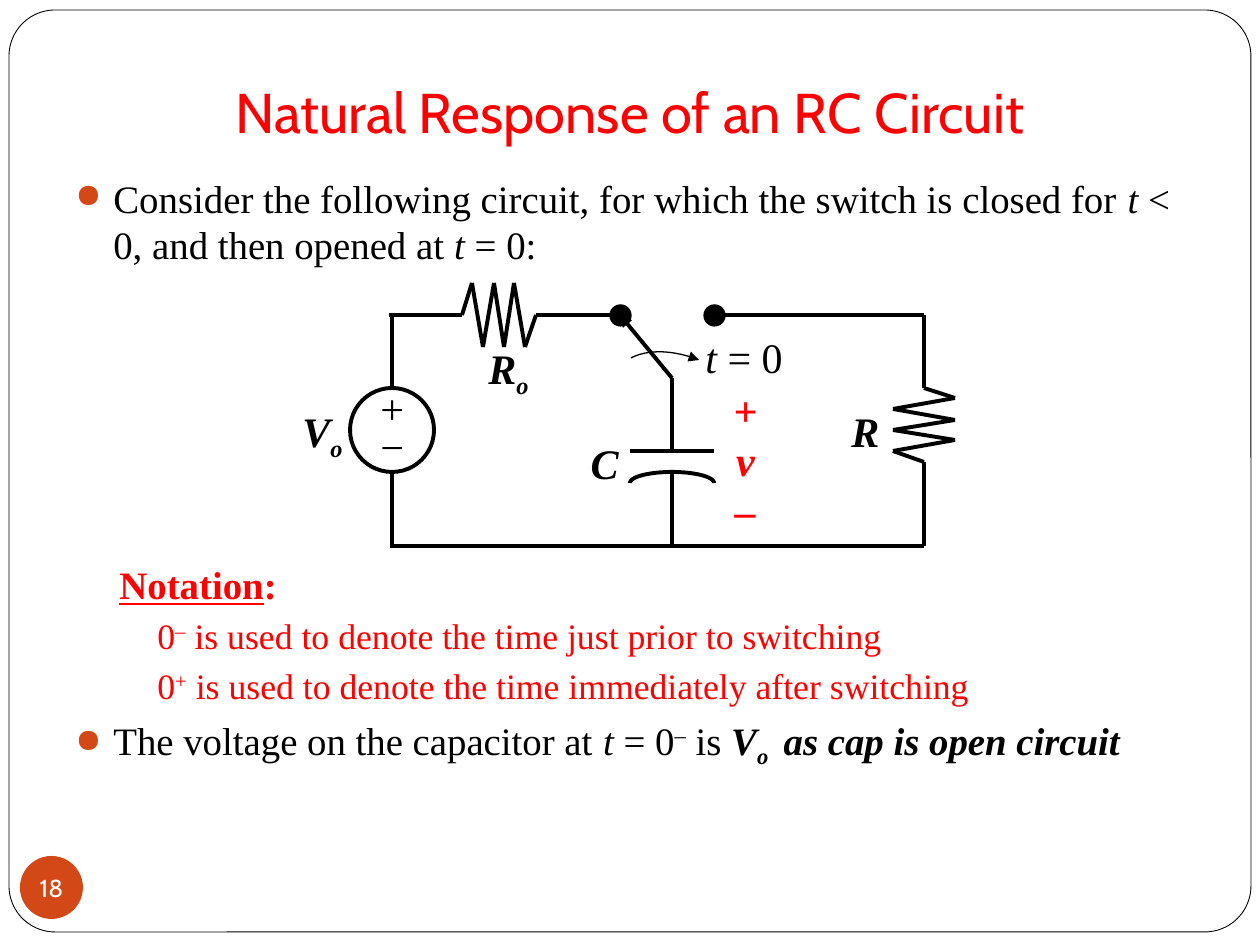
from dataclasses import dataclass
from itertools import pairwise

from lxml import etree
from pptx import Presentation
from pptx.dml.color import RGBColor
from pptx.enum import shapes, text
from pptx.oxml.ns import qn
from pptx.util import Pt

PX = 914400 / 126  # EMU per px
SERIF, SANS = "Times New Roman", "Cabin"
BLACK, RED, WHITE, ORANGE = "000000", "FF0000", "FFFFFF", "D34817"
TOP, BOTTOM = 315, 546  # rails of the circuit
SOURCE_X, CAP_X, LOAD_X = 392, 672, 924
CENTER = text.PP_ALIGN.CENTER
Point = tuple[float, float]


@dataclass
class Span:
    words: str
    size: float = 24
    color: str = BLACK
    bold: bool = False
    italic: bool = False
    underline: bool = False
    shift: int = 0
    font: str = SERIF


@dataclass
class Para:
    spans: list[Span]
    align: text.PP_ALIGN | None = None
    before: float = 0
    leading: float | None = None
    margin: int = 0
    indent: int = 0
    bullet: bool = False


@dataclass
class Label:
    area: tuple[int, int, int, int]
    paras: list[Para]


def emu(px: float) -> int:
    return round(px * PX)


def rgb(color: str) -> RGBColor:
    return RGBColor.from_string(color)


def add_child(parent, tag: str, **attributes: str):
    child = etree.SubElement(parent, qn(tag))
    for name, value in attributes.items():
        child.set(name, value)
    return child


def write_para(para, content: Para) -> None:
    para.alignment = content.align
    para.space_before = Pt(content.before)
    para.line_spacing = content.leading
    props = para._p.get_or_add_pPr()
    props.set("marL", str(emu(content.margin)))
    props.set("indent", str(emu(content.indent)))
    if content.bullet:
        add_child(add_child(props, "a:buClr"), "a:srgbClr", val=ORANGE)
        add_child(props, "a:buSzPct", val="85000")
        add_child(props, "a:buChar", char="●")
    for item in content.spans:
        span = para.add_run()
        span.text = item.words
        font = span.font
        font.name, font.size = item.font, Pt(item.size)
        font.bold, font.italic, font.underline = item.bold, item.italic, item.underline
        font.color.rgb = rgb(item.color)
        if item.shift:
            span._r.get_or_add_rPr().set("baseline", str(item.shift * 1000))


def write(frame, paras: list[Para]) -> None:
    for index, content in enumerate(paras):
        write_para(frame.add_paragraph() if index else frame.paragraphs[0], content)


def add_text(page, label: Label, wrap: bool = False):
    box = page.shapes.add_textbox(*map(emu, label.area))
    frame = box.text_frame
    frame.word_wrap = wrap
    frame.auto_size = text.MSO_AUTO_SIZE.NONE if wrap else text.MSO_AUTO_SIZE.SHAPE_TO_FIT_TEXT
    write(frame, label.paras)
    return frame


def add_shape(page, kind, area, fill: str | None, line: str | None, width: float = 0.75):
    shape = page.shapes.add_shape(kind, *map(emu, area))
    shape.shadow.inherit = False
    if fill:
        shape.fill.solid()
        shape.fill.fore_color.rgb = rgb(fill)
    else:
        shape.fill.background()
    if line:
        shape.line.color.rgb = rgb(line)
        shape.line.width = Pt(width)
    else:
        shape.line.fill.background()
    return shape


def add_wire(page, *points: Point, head: bool = False) -> None:
    for start, end in pairwise(points):
        wire = page.shapes.add_connector(
            shapes.MSO_CONNECTOR.STRAIGHT, *map(emu, (*start, *end)))
        wire.line.color.rgb = rgb(BLACK)
        wire.line.width = Pt(2.25)
        add_child(wire._element.spPr, "a:effectLst")
        if head:
            add_child(wire.line._get_or_add_ln(), "a:headEnd", type="triangle")


def add_curve(page, corners: list[Point], width: float, tail: bool = False) -> None:
    """Draw a cubic Bezier curve as a fine polyline."""
    points = []
    for step in range(25):
        t = step / 24
        weights = ((1 - t) ** 3, 3 * t * (1 - t) ** 2, 3 * t * t * (1 - t), t ** 3)
        points.append(tuple(
            emu(sum(w * c[axis] for w, c in zip(weights, corners))) for axis in (0, 1)))
    builder = page.shapes.build_freeform(*points[0])
    builder.add_line_segments(points[1:], close=False)
    curve = builder.convert_to_shape()
    curve.shadow.inherit = False
    curve.fill.background()
    curve.line.color.rgb = rgb(BLACK)
    curve.line.width = Pt(width)
    if tail:
        add_child(curve.line._get_or_add_ln(), "a:tailEnd", type="triangle")


def zigzag(start: int, axis: int, first: int) -> list[Point]:
    """Points of a resistor that runs along x; first is the side of its first tooth."""
    sides = [0] + [first, -first] * 3 + [0]
    return [(round(start + 10.5 * i), axis + side) for i, side in enumerate(sides)]


def symbol(letter: str, subscript: str = "") -> list[Para]:
    spans = [Span(letter, bold=True, italic=True)]
    if subscript:
        spans.append(Span(subscript, bold=True, italic=True, shift=-25))
    return [Para(spans, CENTER)]


def body_spans(*parts: tuple[str, dict]) -> list[Span]:
    return [Span(words, 22.2, **style) for words, style in parts]


def note(sign: str, words: str) -> Para:
    return Para([Span("0", 20.4, RED), Span(sign, 20.4, RED, shift=30),
                 Span(words, 20.4, RED)], before=3.7, margin=113, indent=-31)


def draw_text(page) -> None:
    plain, slanted, strong = {}, {"italic": True}, {"bold": True, "italic": True}
    bullet = {"before": 5.8, "margin": 38, "indent": -38, "bullet": True}
    add_text(page, Label((63, 168, 1134, 624), [
        Para(body_spans(
            ("Consider the following circuit, for which the switch is closed for ", plain),
            ("t", slanted), (" < 0, and then opened at ", plain),
            ("t", slanted), (" = 0:", plain)), **bullet),
        # The space above this heading holds the circuit
        Para(body_spans(("Notation", {"color": RED, "bold": True, "underline": True}),
                        (":", {"color": RED, "bold": True})),
             before=167.6, margin=76, indent=-32),
        note("–", " is used to denote the time just prior to switching"),
        note("+", " is used to denote the time immediately after switching"),
        Para(body_spans(
            ("The voltage on the capacitor at ", plain), ("t", slanted), (" = 0", plain),
            ("–", {"shift": 30}), (" is ", plain), ("V", strong),
            ("o ", {**strong, "shift": -25}), (" as cap is open circuit", strong)), **bullet),
    ]), wrap=True)
    title = add_text(page, Label((63, 0, 1134, 158), [
        Para([Span("Natural Response of an RC Circuit", 32, RED, font=SANS)], CENTER)]), wrap=True)
    title.vertical_anchor = text.MSO_ANCHOR.BOTTOM
    title.margin_bottom = emu(13)


def draw_circuit(page) -> None:
    oval = shapes.MSO_SHAPE.OVAL
    # Source branch and bottom rail
    add_shape(page, oval, (350, 388, 84, 84), None, BLACK, 2.25)
    add_wire(page, (SOURCE_X, BOTTOM), (SOURCE_X, 472))
    add_wire(page, (SOURCE_X, 388), (SOURCE_X, TOP))
    add_wire(page, (390, BOTTOM), (LOAD_X, BOTTOM))
    # Series resistor, then load resistor with its axes swapped
    add_wire(page, (389, TOP), *zigzag(462, TOP, -32), (620, TOP))
    load = [(x, y) for y, x in zigzag(388, LOAD_X, 31)]
    add_wire(page, (714, TOP), (LOAD_X, TOP), *load, (LOAD_X, BOTTOM))
    # Switch
    add_wire(page, (620, TOP), (CAP_X, 378), head=True)
    add_curve(page, [(631, 358), (648, 349), (674, 350), (699, 360)], 0.75, tail=True)
    for x in (714, 620):
        add_shape(page, oval, (x - 10, TOP - 10, 21, 21), BLACK, BLACK)
    # Capacitor
    add_wire(page, (CAP_X, 378), (CAP_X, 451))
    add_wire(page, (630, 451), (714, 451))
    for side in (1, -1):
        add_curve(page, [(CAP_X + side * x, y)
                         for x, y in ((0, 472), (23, 472), (42, 477), (42, 483))], 2.25)
    add_wire(page, (CAP_X, 472), (CAP_X, BOTTOM))
    # Labels
    for label in (
        Label((577, 431, 55, 63), symbol("C")),
        Label((472, 336, 73, 63), symbol("R", "o")),
        Label((838, 399, 55, 63), symbol("R")),
        Label((287, 399, 71, 63), symbol("V", "o")),
        Label((693, 325, 108, 63), [Para([Span("t ", italic=True), Span("= 0")])]),
        Label((368, 388, 49, 88), [Para([Span(sign)], leading=0.75) for sign in "+−"]),
        Label((721, 378, 49, 164), [
            Para([Span(sign, color=RED, bold=True, italic=True)], CENTER) for sign in "+v–"]),
    ):
        add_text(page, label)


def main() -> None:
    deck = Presentation()
    deck.slide_width, deck.slide_height = emu(1260), emu(945)
    page = deck.slides.add_slide(deck.slide_layouts[6])
    # Frame
    border = add_shape(page, shapes.MSO_SHAPE.ROUNDED_RECTANGLE,
                       (9, 10, 1242, 922), WHITE, BLACK, 0.5)
    border.adjustments[0] = 0.05
    draw_text(page)
    draw_circuit(page)
    # Page number
    badge = add_shape(page, shapes.MSO_SHAPE.OVAL, (20, 856, 63, 63), ORANGE, None)
    frame = badge.text_frame
    frame.margin_left = frame.margin_right = frame.margin_top = frame.margin_bottom = 0
    frame.word_wrap = False
    frame.vertical_anchor = text.MSO_ANCHOR.MIDDLE
    write(frame, [Para([Span("18", 14, WHITE, font=SANS)], CENTER)])
    deck.save("out.pptx")


if __name__ == "__main__":
    main()
